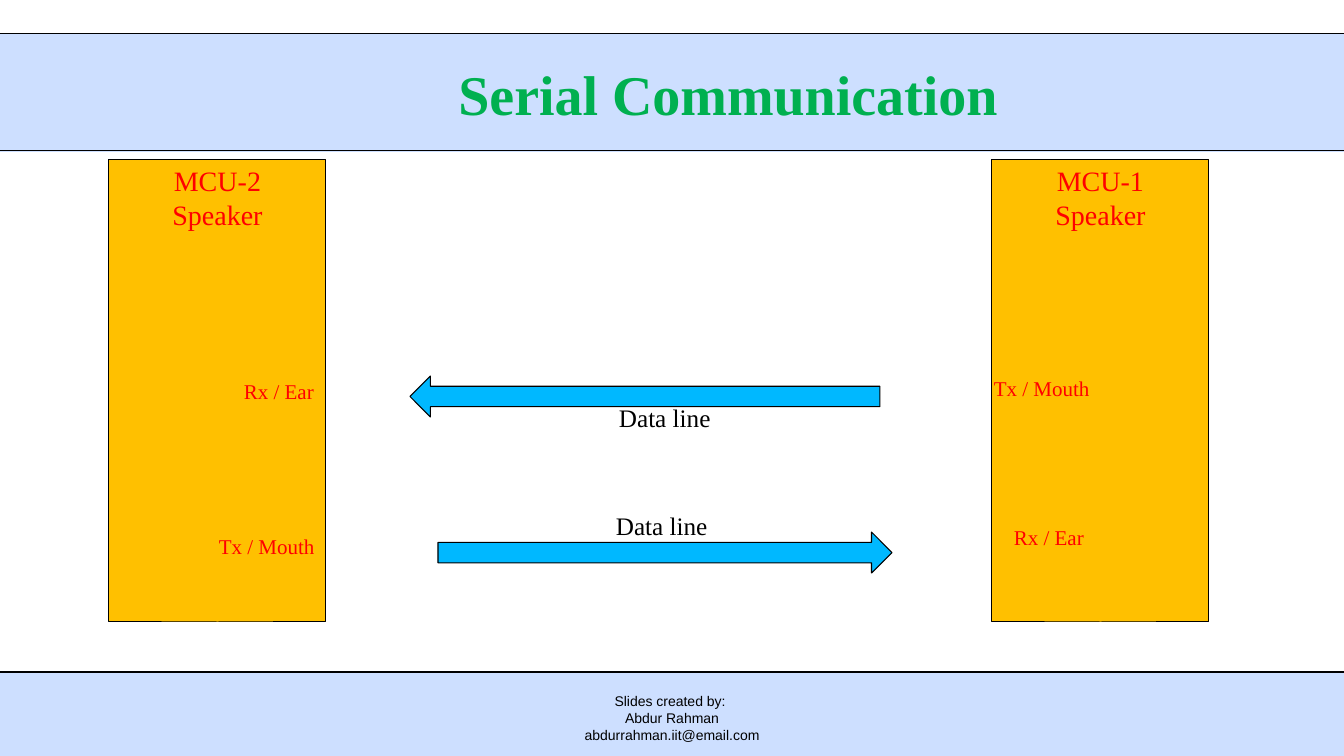
from lxml import etree
from pptx import Presentation
from pptx import util as u
from pptx.dml.color import RGBColor
from pptx.enum import shapes, text
from pptx.oxml.ns import qn

PALE_BLUE = RGBColor(0xCD, 0xDF, 0xFF)
SKY_BLUE = RGBColor(0x00, 0xB8, 0xFF)
AMBER = RGBColor(0xFF, 0xC0, 0x00)
RED = RGBColor(0xFF, 0x00, 0x00)
GREEN = RGBColor(0x00, 0xB0, 0x50)
BLACK = RGBColor(0x00, 0x00, 0x00)

SERIF = "Times New Roman"
SANS = "Arial"
WIDTH, HEIGHT = 1344, 756
EMU_PER_PX = 914400 / 100.8
LINE_WIDTH = u.Pt(0.75)


def px(*lengths):
    return [u.Emu(round(length * EMU_PER_PX)) for length in lengths]


class SlideBuilder:
    """Holds the slide and draws each kind of element in one style."""

    def __init__(self, slide):
        self.slide = slide

    def set_text(self, shape, wording, size, color, font=SERIF, bold=False,
                 align=text.PP_ALIGN.CENTER, anchor=text.MSO_ANCHOR.TOP, wrap=True):
        frame = shape.text_frame
        frame.text = wording
        frame.word_wrap = wrap
        frame.auto_size = text.MSO_AUTO_SIZE.NONE
        frame.vertical_anchor = anchor
        for paragraph in frame.paragraphs:
            paragraph.alignment = align
            for run in paragraph.runs:
                run.font.name = font
                run.font.size = u.Pt(size)
                run.font.bold = bold
                run.font.color.rgb = color

    def block(self, kind, box, fill, outline=BLACK):
        shape = self.slide.shapes.add_shape(kind, *px(*box))
        shape.shadow.inherit = False
        shape.fill.solid()
        shape.fill.fore_color.rgb = fill
        shape.line.color.rgb = outline
        shape.line.width = LINE_WIDTH
        return shape

    def band(self, top, height):
        self.block(shapes.MSO_SHAPE.RECTANGLE, (0, top, WIDTH, height),
                   PALE_BLUE, PALE_BLUE)

    def rule(self, top):
        line = self.slide.shapes.add_connector(
            shapes.MSO_CONNECTOR.STRAIGHT, *px(0, top, WIDTH, top))
        line.line.color.rgb = BLACK
        line.line.width = LINE_WIDTH
        etree.SubElement(line.element.spPr, qn("a:effectLst"))

    def title(self, wording, box):
        title = self.slide.shapes.title
        title.left, title.top, title.width, title.height = px(*box)
        self.slide.shapes.element.append(title.element)  # in front of the band
        self.set_text(title, wording, 40, GREEN, bold=True,
                      anchor=text.MSO_ANCHOR.MIDDLE)

    def controller(self, name, left):
        shape = self.block(shapes.MSO_SHAPE.RECTANGLE, (left, 159, 217, 463), AMBER)
        self.set_text(shape, f"{name}\nSpeaker", 20, RED)

    def arrow(self, box, rotation=0):
        arrow = self.block(shapes.MSO_SHAPE.LEFT_ARROW, box, SKY_BLUE)
        arrow.rotation = rotation

    def label(self, wording, box, size, color, **style):
        self.set_text(self.slide.shapes.add_textbox(*px(*box)),
                      wording, size, color, **style)


def main():
    presentation = Presentation()
    presentation.slide_width, presentation.slide_height = px(WIDTH, HEIGHT)
    builder = SlideBuilder(
        presentation.slides.add_slide(presentation.slide_layouts[5]))

    # Header and footer bands with their rules
    builder.band(672, 84)
    builder.band(34, 118)
    for top in (34, 151, 672):
        builder.rule(top)
    builder.label("Slides created by: \nAbdur Rahman\nabdurrahman.iit@email.com",
                  (460, 688, 424, 68), 10, BLACK, font=SANS)
    builder.title("Serial Communication", (355, 28, 746, 131))

    # Microcontrollers
    builder.controller("MCU-1", 992)
    builder.controller("MCU-2", 109)

    # Data arrows
    builder.arrow((410, 376, 470, 41))
    builder.arrow((438, 532, 454, 41), rotation=180)

    # Pins
    for wording, left, top, width in (
            ("Tx / Mouth", 984, 371, 116), ("Rx / Ear", 234, 374, 91),
            ("Tx / Mouth", 209, 529, 116), ("Rx / Ear", 1004, 520, 91)):
        builder.label(wording, (left, top, width, 35), 15, RED,
                      align=text.PP_ALIGN.LEFT, wrap=False)

    # Data line captions
    for left, top in ((609, 397), (606, 505)):
        builder.label("Data line", (left, top, 113, 40), 18, BLACK,
                      align=text.PP_ALIGN.LEFT, wrap=False)

    presentation.save("out.pptx")


if __name__ == "__main__":
    main()
